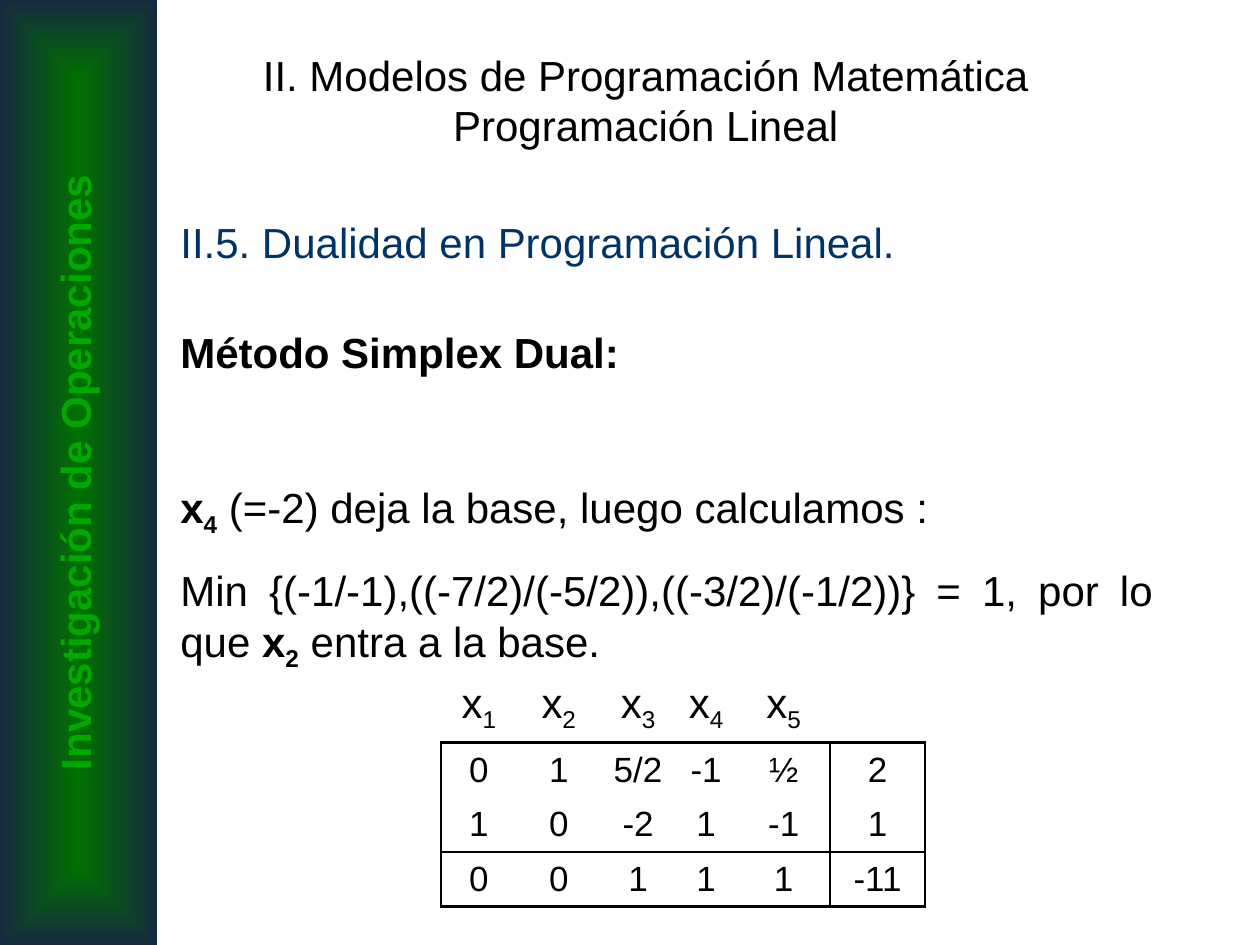
from typing import NamedTuple

from pptx import Presentation
from pptx.dml.color import RGBColor
from pptx.enum.shapes import MSO_SHAPE
from pptx.enum.text import MSO_ANCHOR, PP_ALIGN
from pptx.oxml.ns import qn
from pptx.oxml.xmlchemy import OxmlElement
from pptx.util import Pt

RECTANGLE = MSO_SHAPE.RECTANGLE
TOP, MIDDLE = MSO_ANCHOR.TOP, MSO_ANCHOR.MIDDLE
CENTER, JUSTIFY = PP_ALIGN.CENTER, PP_ALIGN.JUSTIFY

FONT = "Arial"
BLACK, WHITE, NAVY = "000000", "FFFFFF", "003366"
SIDEBAR_GREEN, SIDEBAR_EDGE, SIDEBAR_LABEL = "007000", "152A3F", "00A800"
TEXT_SIZE, VALUE_SIZE, RULE_WIDTH = 24, 20, 1.47


class Box(NamedTuple):
    left: float
    top: float
    width: float
    height: float


class Piece(NamedTuple):
    text: str
    bold: bool = False
    subscript: bool = False


class Line(NamedTuple):
    pieces: list[Piece]
    align: PP_ALIGN = JUSTIFY
    color: str = BLACK
    size: float = TEXT_SIZE
    space_before: float = 0
    spacing: float = 1.0


SIDEBAR = Box(0, 0, 90, 540)
SIDEBAR_TITLE = Box(-227.5, 252, 540, 36)
HEADING = Box(96, 12, 546, 90)
BODY = Box(96, 120, 570, 396)
TABLEAU = Box(252, 384, 276.5, 133.2)
COLUMN_WIDTHS = [43.2, 48.2, 42.5, 35.3, 53.3, 54]
ROW_HEIGHTS = [40.3, 31, 31, 31]

BODY_LINES = [
    Line([Piece("II.5. Dualidad en Programación Lineal.")], color=NAVY),
    Line([Piece("Método Simplex Dual:", bold=True)], space_before=37.8, spacing=0.9),
    Line([Piece("x", bold=True), Piece("4", bold=True, subscript=True),
          Piece(" (=-2) deja la base, luego calculamos :")], space_before=59),
    Line([Piece("Min {(-1/-1),((-7/2)/(-5/2)),((-3/2)/(-1/2))} = 1, por lo que "),
          Piece("x", bold=True), Piece("2", bold=True, subscript=True),
          Piece(" entra a la base.")], space_before=15),
]

TABLEAU_VALUES = [
    ["0", "1", "5/2", "-1", "½", "2"],
    ["1", "0", "-2", "1", "-1", "1"],
    ["0", "0", "1", "1", "1", "-11"],
]


def rgb(hex_color: str) -> RGBColor:
    return RGBColor.from_string(hex_color)


def points(box: Box) -> list[Pt]:
    return [Pt(length) for length in box]


def write_line(paragraph, line: Line) -> None:
    paragraph.alignment = line.align
    paragraph.line_spacing = line.spacing
    if line.space_before:
        paragraph.space_before = Pt(line.space_before)
    for piece in line.pieces:
        paragraph.add_run().text = piece.text
    for piece, run in zip(line.pieces, paragraph.runs):
        run.font.name = FONT
        run.font.size = Pt(line.size)
        run.font.bold = piece.bold
        run.font.color.rgb = rgb(line.color)
        if piece.subscript:
            run._r.get_or_add_rPr().set("baseline", "-25000")


def add_text(slide, box: Box, lines: list[Line], anchor=TOP, rotation: float = 0) -> None:
    textbox = slide.shapes.add_textbox(*points(box))
    textbox.rotation = rotation
    frame = textbox.text_frame
    frame.word_wrap = True
    frame.vertical_anchor = anchor
    for index, line in enumerate(lines):
        paragraph = frame.add_paragraph() if index else frame.paragraphs[0]
        write_line(paragraph, line)


def add_sidebar(slide) -> None:
    sidebar = slide.shapes.add_shape(RECTANGLE, *points(SIDEBAR))
    sidebar.shadow.inherit = False
    sidebar.line.fill.background()
    sidebar.fill.gradient()
    for stop, color in zip(sidebar.fill.gradient_stops, [SIDEBAR_GREEN, SIDEBAR_EDGE]):
        stop.color.rgb = rgb(color)
    gradient = sidebar.element.spPr.find(qn("a:gradFill"))
    gradient.remove(gradient.find(qn("a:lin")))
    rings = OxmlElement("a:path")
    rings.set("path", "rect")
    focus = OxmlElement("a:fillToRect")
    for edge in "ltrb":
        focus.set(edge, "50000")
    rings.append(focus)
    gradient.append(rings)


def set_borders(cell, ruled_edges: dict[str, bool]) -> None:
    properties = cell._tc.get_or_add_tcPr()
    for edge, ruled in ruled_edges.items():
        border = OxmlElement(f"a:ln{edge}")
        border.set("w", str(Pt(RULE_WIDTH)))
        fill = OxmlElement("a:solidFill" if ruled else "a:noFill")
        if ruled:
            color = OxmlElement("a:srgbClr")
            color.set("val", BLACK)
            fill.append(color)
        border.append(fill)
        properties.append(border)


def add_tableau(slide) -> None:
    headers = [[Piece("x"), Piece(str(n), subscript=True)] for n in range(1, 6)] + [[]]
    rows = [headers] + [[[Piece(value)] for value in row] for row in TABLEAU_VALUES]
    last_row, last_column = len(rows) - 1, len(headers) - 1
    tableau = slide.shapes.add_table(len(rows), len(headers), *points(TABLEAU)).table
    tableau.first_row = tableau.horz_banding = False
    for column, width in zip(tableau.columns, COLUMN_WIDTHS):
        column.width = Pt(width)
    for row, height in zip(tableau.rows, ROW_HEIGHTS):
        row.height = Pt(height)
    for r, row in enumerate(rows):
        for c, pieces in enumerate(row):
            cell = tableau.cell(r, c)
            set_borders(cell, {
                "L": r > 0 and c in (0, last_column),
                "R": r > 0 and c >= last_column - 1,
                "T": r in (1, last_row),
                "B": r in (0, last_row - 1, last_row),
            })
            if r and c == 0:
                cell.fill.solid()
                cell.fill.fore_color.rgb = rgb(WHITE)
            else:
                cell.fill.background()
            cell.vertical_anchor = MIDDLE
            size = VALUE_SIZE if r else TEXT_SIZE
            write_line(cell.text_frame.paragraphs[0], Line(pieces, CENTER, size=size))


def main() -> None:
    presentation = Presentation()
    presentation.slide_width, presentation.slide_height = Pt(720), Pt(540)
    slide = presentation.slides.add_slide(presentation.slide_layouts[6])
    add_sidebar(slide)
    sidebar_title = Line([Piece("Investigación de Operaciones", bold=True)],
                         CENTER, SIDEBAR_LABEL)
    add_text(slide, SIDEBAR_TITLE, [sidebar_title], rotation=270)
    add_text(slide, BODY, BODY_LINES)
    add_tableau(slide)
    heading = Line([Piece("II. Modelos de Programación Matemática")], CENTER)
    subheading = Line([Piece("Programación Lineal")], CENTER)
    add_text(slide, HEADING, [heading, subheading], anchor=MIDDLE)
    presentation.save("out.pptx")


if __name__ == "__main__":
    main()
